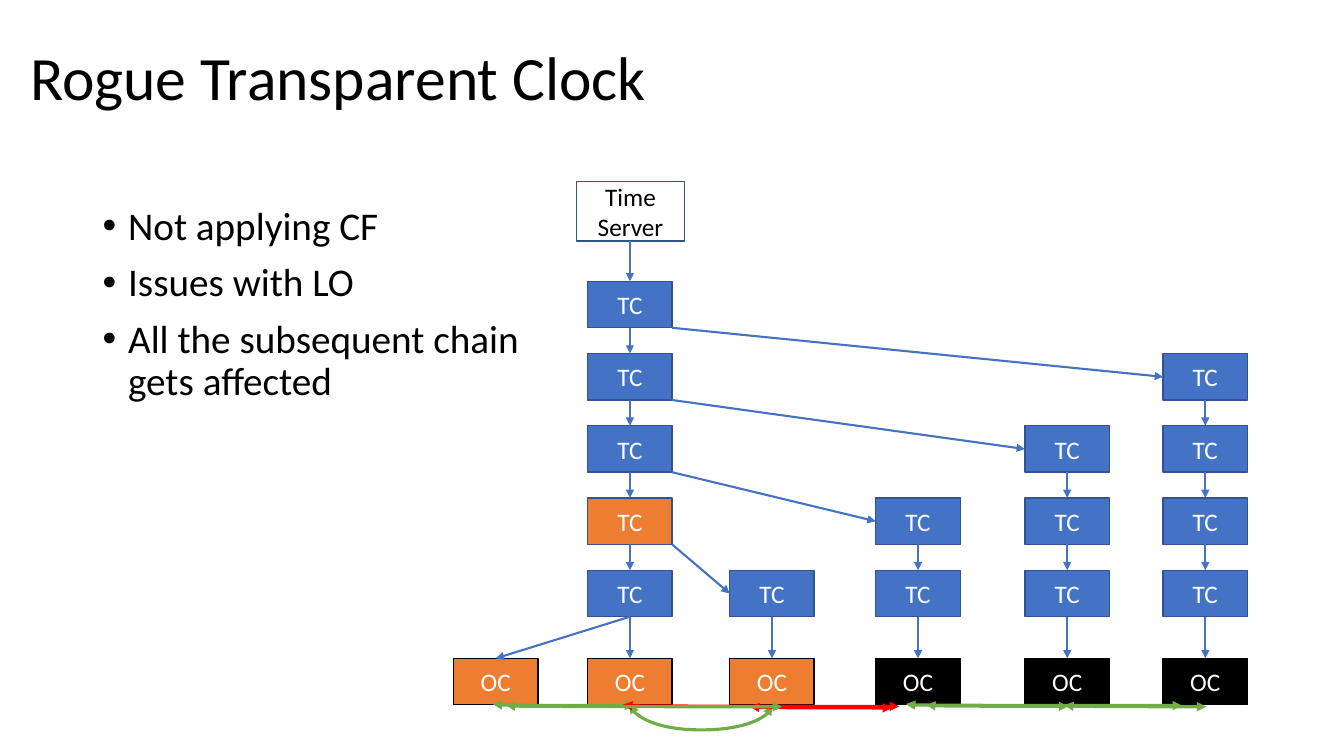
from lxml.etree import SubElement
from pptx import Presentation
from pptx.dml.color import RGBColor
from pptx.enum.shapes import MSO_CONNECTOR, MSO_SHAPE
from pptx.enum.text import MSO_ANCHOR, PP_ALIGN
from pptx.oxml.ns import qn
from pptx.util import Cm, Pt

BLACK = RGBColor(0x00, 0x00, 0x00)
WHITE = RGBColor(0xFF, 0xFF, 0xFF)
BLUE = RGBColor(0x44, 0x72, 0xC4)
DARK_BLUE = RGBColor(0x31, 0x53, 0x8F)
ORANGE = RGBColor(0xED, 0x7D, 0x31)
GREEN = RGBColor(0x70, 0xAD, 0x47)
RED = RGBColor(0xFF, 0x00, 0x00)

# Lengths in centimetres
CLOCK_WIDTH, CLOCK_HEIGHT = 2.13, 1.17
FIRST_ROW_TOP, ROW_PITCH = 7.09, 1.82
TC_ROWS = 5
ROGUE_ROW = 3
OC_TOP = 16.59
TRUNK_LEFT = 14.81
TRUNK_CENTER = TRUNK_LEFT + CLOCK_WIDTH / 2

# Left edge, first row with a transparent clock, colour of the ordinary clock
CHAINS = [
    (TRUNK_LEFT, 0, ORANGE),
    (18.39, 4, ORANGE),
    (22.07, 3, BLACK),
    (25.83, 2, BLACK),
    (29.31, 1, BLACK),
]
SIDE_OC_LEFT = 11.43

# Start x, start y, end x, colour of the links between ordinary clocks
PEER_LINKS = [
    (12.42, 17.74, 15.98, GREEN),
    (15.7, 17.76, 22.66, RED),
    (26.82, 17.77, 30.4, GREEN),
    (23.34, 17.76, 26.92, GREEN),
    (22.83, 17.74, 29.79, GREEN),
    (18.9, 17.8, 22.48, RED),
    (12.75, 17.77, 19.71, GREEN),
]


def row_top(row):
    return FIRST_ROW_TOP + row * ROW_PITCH if row < TC_ROWS else OC_TOP


def write_text(shape, text, size=18, color=BLACK, align=PP_ALIGN.LEFT,
               anchor=MSO_ANCHOR.MIDDLE, line_spacing=1.0, gap=0, bullet=None):
    """Write each line of text as one paragraph."""
    frame = shape.text_frame
    frame.word_wrap = True
    frame.vertical_anchor = anchor
    for index, line in enumerate(text.split("\n")):
        paragraph = frame.paragraphs[0] if index == 0 else frame.add_paragraph()
        if bullet:
            properties = paragraph._p.get_or_add_pPr()
            properties.set("marL", str(Cm(0.64)))
            properties.set("indent", str(-Cm(0.64)))
            SubElement(properties, qn("a:buFont"), typeface="Arial")
            SubElement(properties, qn("a:buChar"), char=bullet)
        paragraph.alignment = align
        paragraph.line_spacing = line_spacing
        if index and gap:
            paragraph.space_before = Pt(gap)
        run = paragraph.add_run()
        run.text = line
        run.font.name = "Calibri"
        run.font.size = Pt(size)
        run.font.color.rgb = color


def add_text(slide, left, top, width, height, text, **text_format):
    box = slide.shapes.add_textbox(Cm(left), Cm(top), Cm(width), Cm(height))
    write_text(box, text, **text_format)


def add_box(slide, left, top, width, height, text, fill, outline, color=WHITE):
    box = slide.shapes.add_shape(
        MSO_SHAPE.RECTANGLE, Cm(left), Cm(top), Cm(width), Cm(height))
    box.shadow.inherit = False
    if fill is None:
        box.fill.background()
    else:
        box.fill.solid()
        box.fill.fore_color.rgb = fill
    box.line.color.rgb = outline
    box.line.width = Pt(1)
    write_text(box, text, color=color, align=PP_ALIGN.CENTER)


def add_clock(slide, left, row, text, fill, outline):
    add_box(slide, left, row_top(row), CLOCK_WIDTH, CLOCK_HEIGHT, text, fill, outline)


def add_arrow(slide, start, end, color=BLUE, width=1.5, both_ends=False, bend=None):
    """Draw a straight arrow, or a curved one if bend (in 1/100000) is given."""
    kind = MSO_CONNECTOR.STRAIGHT if bend is None else MSO_CONNECTOR.CURVE
    arrow = slide.shapes.add_connector(kind, *map(Cm, start + end))
    arrow.line.color.rgb = color
    arrow.line.width = Pt(width)
    properties = arrow._element.spPr
    if bend is not None:
        adjustments = properties.find(".//" + qn("a:avLst"))
        SubElement(adjustments, qn("a:gd"), name="adj1", fmla=f"val {bend}")
    outline = properties.find(qn("a:ln"))
    if both_ends:
        SubElement(outline, qn("a:headEnd"), type="triangle")
    SubElement(outline, qn("a:tailEnd"), type="triangle")
    SubElement(properties, qn("a:effectLst"))
    return arrow


def add_chain(slide, left, first_row, oc_fill):
    center = left + CLOCK_WIDTH / 2
    for row in range(first_row, TC_ROWS):
        rogue = left == TRUNK_LEFT and row == ROGUE_ROW
        add_clock(slide, left, row, "TC", ORANGE if rogue else BLUE, DARK_BLUE)
        add_arrow(slide, (center, row_top(row) + CLOCK_HEIGHT),
                  (center, row_top(row + 1)))
    add_clock(slide, left, TC_ROWS, "OC", oc_fill, BLACK)


def add_branch(slide, left, first_row):
    """Link the trunk clock one row higher to the first clock of a chain."""
    add_arrow(slide,
              (TRUNK_LEFT + CLOCK_WIDTH, row_top(first_row - 1) + CLOCK_HEIGHT),
              (left, row_top(first_row) + CLOCK_HEIGHT / 2))


def add_arch(slide, left, right, y):
    """Hang a curved double arrow below two points of equal height."""
    middle, half_span, half_rise = (left + right) / 2, (right - left) / 2, 0.02
    arch = add_arrow(slide, (middle + half_rise, y - half_span),
                     (middle - half_rise, y + half_span),
                     GREEN, 2.25, both_ends=True, bend=1633000)
    arch._element.spPr.find(qn("a:xfrm")).set("rot", "16200000")


def main():
    presentation = Presentation()
    presentation.slide_width, presentation.slide_height = Cm(33.87), Cm(19.05)
    slide = presentation.slides.add_slide(presentation.slide_layouts[6])

    add_text(slide, 0.51, 0.18, 29.21, 3.68, "Rogue Transparent Clock",
             size=44, line_spacing=0.9)
    add_text(slide, 2.34, 5.08, 11.89, 10.46,
             "Not applying CF\nIssues with LO\nAll the subsequent chain gets affected",
             size=28, anchor=MSO_ANCHOR.TOP, line_spacing=0.9, gap=10, bullet="•")

    add_box(slide, 14.53, 4.57, 2.72, 1.5, "Time Server", None, DARK_BLUE, BLACK)
    add_arrow(slide, (TRUNK_CENTER, 6.07), (TRUNK_CENTER, FIRST_ROW_TOP))
    for left, first_row, oc_fill in CHAINS:
        add_chain(slide, left, first_row, oc_fill)
        if first_row:
            add_branch(slide, left, first_row)

    add_clock(slide, SIDE_OC_LEFT, TC_ROWS, "OC", ORANGE, BLACK)
    add_arrow(slide, (TRUNK_CENTER, row_top(TC_ROWS - 1) + CLOCK_HEIGHT),
              (SIDE_OC_LEFT + CLOCK_WIDTH / 2, OC_TOP))

    add_arch(slide, TRUNK_CENTER, 19.46, OC_TOP + CLOCK_HEIGHT)
    for start_x, y, end_x, color in PEER_LINKS:
        add_arrow(slide, (start_x, y), (end_x, y + 0.04), color, 2.25,
                  both_ends=True, bend=0)

    presentation.save("out.pptx")


if __name__ == "__main__":
    main()
